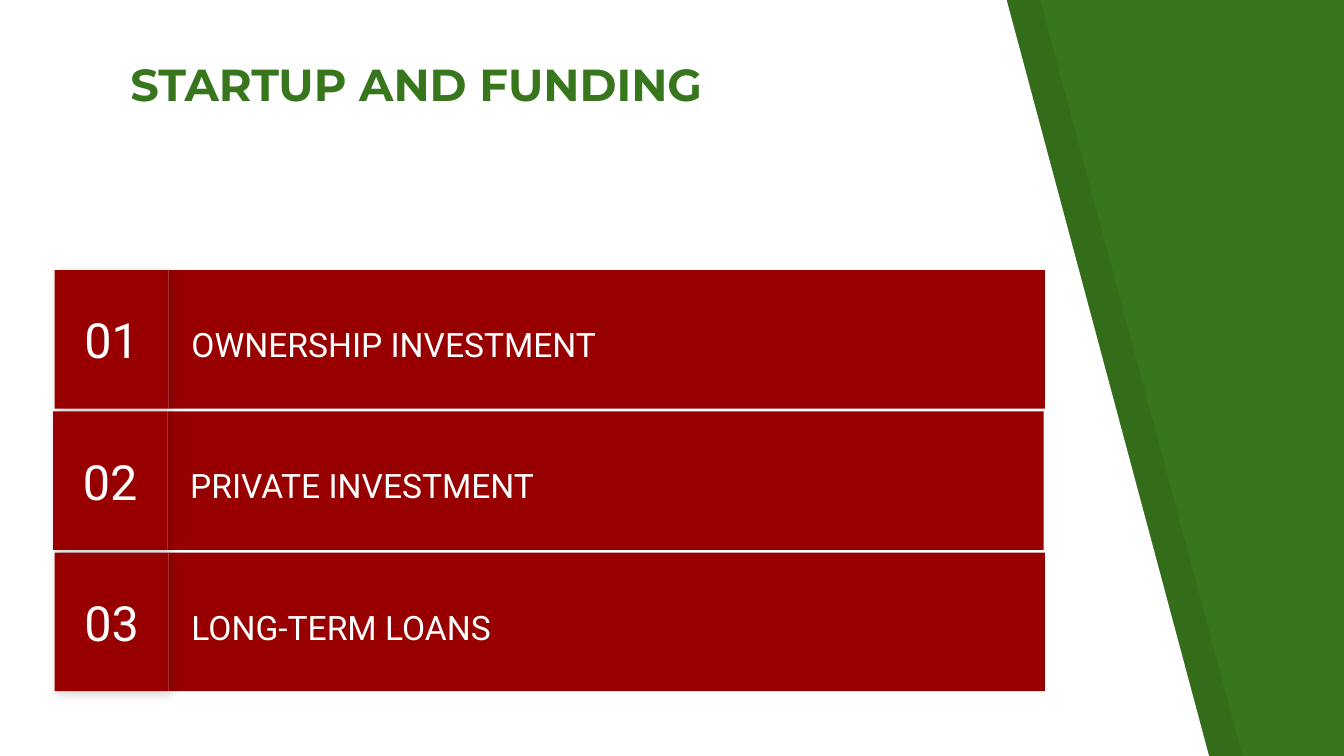
from lxml import etree
from pptx import Presentation
from pptx.dml.color import RGBColor
from pptx.enum.shapes import MSO_SHAPE
from pptx.enum.text import MSO_ANCHOR, PP_ALIGN
from pptx.oxml.ns import qn
from pptx.util import Pt

RECT = MSO_SHAPE.RECTANGLE
MIDDLE, BOTTOM = MSO_ANCHOR.MIDDLE, MSO_ANCHOR.BOTTOM
LEFT, CENTER = PP_ALIGN.LEFT, PP_ALIGN.CENTER

TITLE = "STARTUP AND FUNDING"
SOURCES = ["OWNERSHIP INVESTMENT", "PRIVATE INVESTMENT", "LONG-TERM LOANS"]

THEME = {
    "green": RGBColor(0x38, 0x76, 0x1D),
    "red": RGBColor(0x98, 0x00, 0x00),
    "white": RGBColor(0xFF, 0xFF, 0xFF),
    "black": RGBColor(0, 0, 0),
    "title_font": "Montserrat", "body_font": "Roboto",
    "title_size": 24, "number_size": 26, "label_size": 18,
}

SLIDE_W, SLIDE_H = 720, 405
EDGE_TOP, EDGE_BOTTOM, BAND = 539.3, 647.7, 18
ROW_LEFTS = [29.2, 28.5, 29.2]
ROW_TOP, ROW_PITCH, ROW_H = 144.7, 75.7, 74.2
TILE_W, BAR_W = 61.2, 469.4
INSET, LABEL_INSET = 7.2, 12.2


def write(shape, text, size, font, color, align, anchor, left=INSET, top=INSET, bold=False):
    tf = shape.text_frame
    tf.word_wrap = True
    tf.vertical_anchor = anchor
    tf.margin_left, tf.margin_top = Pt(left), Pt(top)
    tf.margin_right = tf.margin_bottom = Pt(INSET)
    p = tf.paragraphs[0]
    p.alignment = align
    p.line_spacing = 1.0
    r = p.add_run()
    r.text = text
    r.font.name, r.font.size, r.font.bold = font, Pt(size), bold
    r.font.color.rgb = color


def paint(shape, color):
    shape.shadow.inherit = False
    shape.fill.solid()
    shape.fill.fore_color.rgb = color
    shape.line.fill.background()


def add_panel(s, x, color):
    """Add a full-height panel with a slanted right edge."""
    fb = s.shapes.build_freeform(Pt(x), 0, scale=1.0)
    fb.add_line_segments([(Pt(x), Pt(SLIDE_H)), (Pt(x + EDGE_BOTTOM), Pt(SLIDE_H)),
                          (Pt(x + EDGE_TOP), 0)], close=True)
    panel = fb.convert_to_shape()
    paint(panel, color)
    return panel


def set_alpha(color_element, percent):
    etree.SubElement(color_element, qn("a:alpha"), val=str(percent * 1000))


def add_shadow(shape):
    effects = shape.element.spPr.find(qn("a:effectLst"))
    shadow = etree.SubElement(effects, qn("a:outerShdw"), blurRad=str(Pt(5.6)),
                              dist=str(Pt(2.2)), dir=str(45 * 60000),
                              algn="bl", rotWithShape="0")
    set_alpha(etree.SubElement(shadow, qn("a:srgbClr"), val=str(THEME["black"])), 17)


def add_row(s, index, label):
    x, y = ROW_LEFTS[index], ROW_TOP + index * ROW_PITCH
    bar = s.shapes.add_shape(RECT, Pt(x + TILE_W), Pt(y), Pt(BAR_W), Pt(ROW_H))
    paint(bar, THEME["red"])
    write(bar, label, THEME["label_size"], THEME["body_font"], THEME["white"],
          LEFT, MIDDLE, left=LABEL_INSET, top=INSET + 2)
    bar.text_frame.paragraphs[0].line_spacing = 1.15
    tile = s.shapes.add_shape(RECT, Pt(x), Pt(y), Pt(TILE_W), Pt(ROW_H))
    paint(tile, THEME["red"])
    add_shadow(tile)
    write(tile, f"{index + 1:02d}", THEME["number_size"], THEME["body_font"],
          THEME["white"], CENTER, MIDDLE)


def main():
    prs = Presentation()
    prs.slide_width, prs.slide_height = Pt(SLIDE_W), Pt(SLIDE_H)
    s = prs.slides.add_slide(prs.slide_layouts[5])
    s.background.fill.solid()
    s.background.fill.fore_color.rgb = THEME["green"]

    band = add_panel(s, BAND, THEME["black"])
    set_alpha(band.element.spPr.find(qn("a:solidFill"))[0], 7)
    add_panel(s, 0, THEME["white"])

    title = s.shapes.title
    title.left, title.top, title.width, title.height = Pt(62.6), Pt(28.1), Pt(419), Pt(38.2)
    write(title, TITLE, THEME["title_size"], THEME["title_font"], THEME["green"],
          LEFT, BOTTOM, bold=True)
    title.element.getparent().append(title.element)  # bring in front of the panels

    for index, label in enumerate(SOURCES):
        add_row(s, index, label)
    prs.save("out.pptx")


if __name__ == "__main__":
    main()
